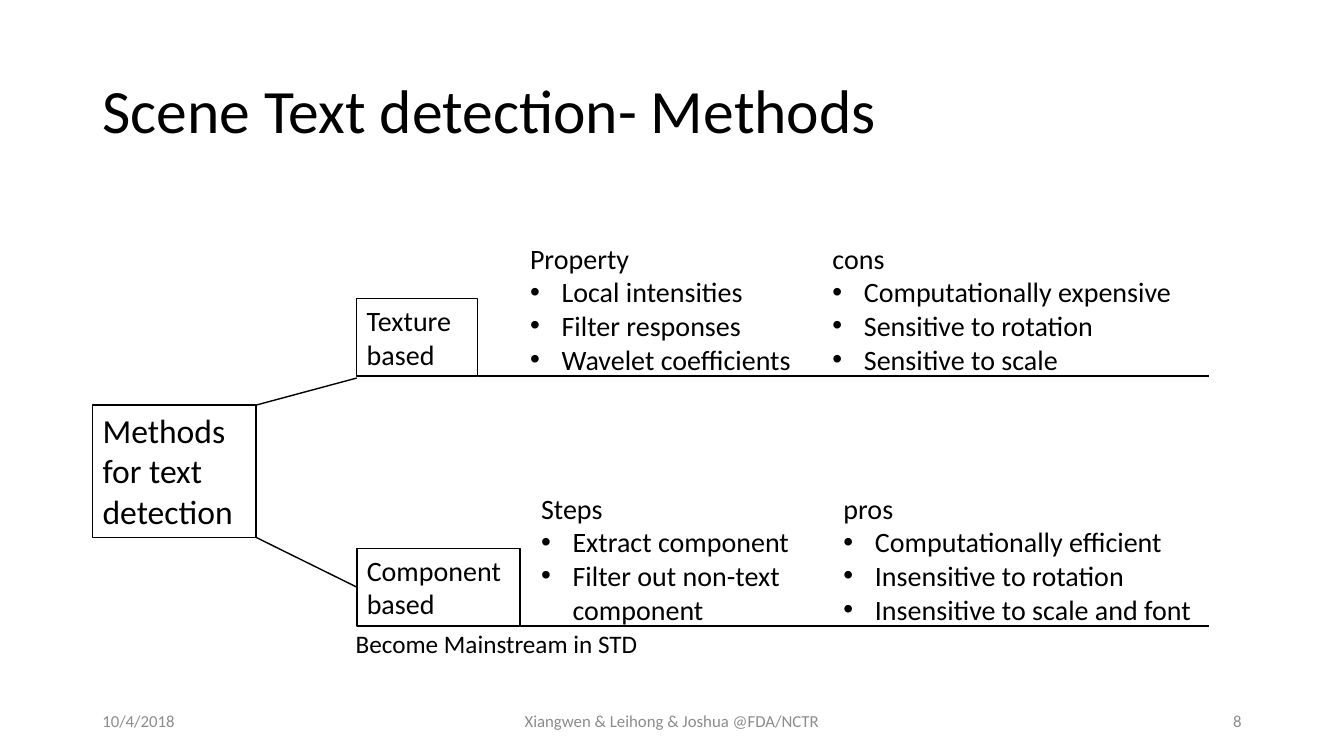
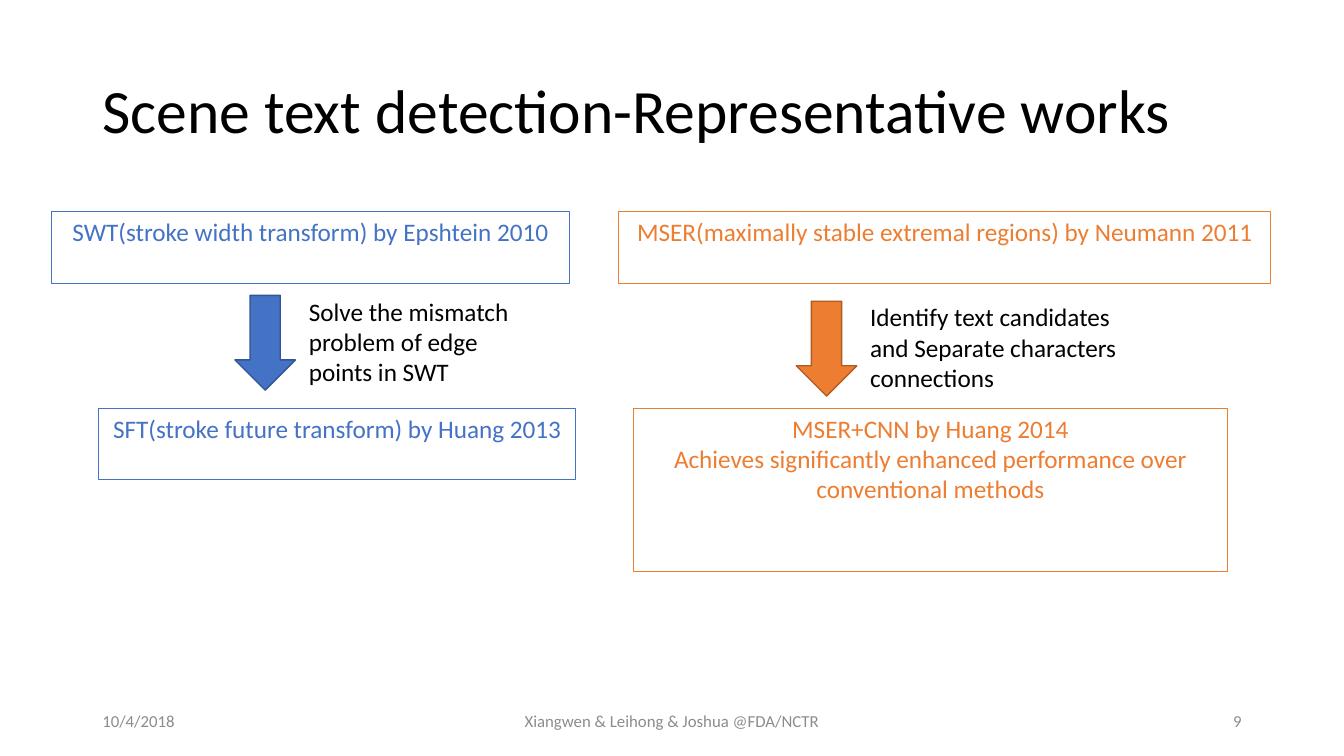
from dataclasses import dataclass

from lxml import etree
from pptx import Presentation
from pptx.dml.color import RGBColor
from pptx.enum.shapes import MSO_CONNECTOR, MSO_SHAPE
from pptx.enum.text import MSO_ANCHOR, MSO_AUTO_SIZE, PP_ALIGN
from pptx.oxml.ns import qn
from pptx.util import Pt

RECT, DOWN_ARROW = MSO_SHAPE.RECTANGLE, MSO_SHAPE.DOWN_ARROW
STRAIGHT = MSO_CONNECTOR.STRAIGHT
LEFT, CENTER, RIGHT = PP_ALIGN.LEFT, PP_ALIGN.CENTER, PP_ALIGN.RIGHT
TOP, MIDDLE = MSO_ANCHOR.TOP, MSO_ANCHOR.MIDDLE
LEFT_SIDE = 1
TITLE_ONLY = 5

FONT = "Calibri"
BLACK, WHITE, GREY = "000000", "FFFFFF", "8C8C8C"
BLUE, DARK_BLUE = "4472C4", "325491"
ORANGE, DARK_ORANGE = "ED7D31", "AF5C24"
BULLET_INDENT = 22.5

TITLE_BOX = (66, 28.8, 828, 104.4)
FOOTER_TOP, FOOTER_HEIGHT = 500.4, 28.8
DATE = "10/4/2018"
AUTHORS = "Xiangwen & Leihong & Joshua @FDA/NCTR"

Box = tuple[float, float, float, float]


@dataclass
class BulletList:
    x: float
    width: float
    heading: str
    items: list[str]


@dataclass
class Branch:
    """A boxed method standing on a base line, with lists to its right."""
    name: str
    box_width: float
    base: float
    lists: list[BulletList]


@dataclass
class Work:
    box: Box
    lines: list[str]


@dataclass
class Progress:
    """An earlier work, an arrow with a note, and the work that followed."""
    color: str
    outline: str
    before: Work
    arrow_x: float
    arrow_y: float
    note: str
    note_width: float
    after: Work


BRANCHES = [
    Branch("Texture based", 86.4, 268.6, [
        BulletList(371.5, 215.3, "Property",
                   ["Local intensities", "Filter responses", "Wavelet coefficients"]),
        BulletList(587.5, 268.6, "cons",
                   ["Computationally expensive", "Sensitive to rotation",
                    "Sensitive to scale"]),
    ]),
    Branch("Component based", 116.6, 447.1, [
        BulletList(379.4, 240.5, "Steps",
                   ["Extract component", "Filter out non-text component"]),
        BulletList(595.4, 268.6, "pros",
                   ["Computationally efficient", "Insensitive to rotation",
                    "Insensitive to scale and font"]),
    ]),
]

PROGRESSES = [
    Progress(
        BLUE, DARK_BLUE,
        Work((36.7, 151.2, 370.1, 51.1), ["SWT(stroke width transform) by Epshtein 2010"]),
        167.8, 211, "Solve the mismatch problem of edge points in SWT", 162,
        Work((70.6, 291.6, 340.6, 51.1), ["SFT(stroke future transform) by Huang 2013"])),
    Progress(
        ORANGE, DARK_ORANGE,
        Work((442.1, 151.2, 465.8, 51.1),
             ["MSER(maximally stable extremal regions) by Neumann 2011"]),
        568.8, 215.2, "Identify text candidates and Separate characters connections", 201.6,
        Work((452.2, 291.6, 424.8, 116.6),
             ["MSER+CNN by Huang 2014",
              "Achieves significantly enhanced performance over conventional methods"])),
]


def rgb(color: str) -> RGBColor:
    return RGBColor.from_string(color)


def write(sp, lines: list[str], size: float, color: str = BLACK,
          align=LEFT, anchor=TOP) -> None:
    tf = sp.text_frame
    frame_format = {"word_wrap": True, "auto_size": MSO_AUTO_SIZE.NONE,
                    "vertical_anchor": anchor}
    for name, value in frame_format.items():
        setattr(tf, name, value)
    for i, line in enumerate(lines):
        p = tf.paragraphs[0] if i == 0 else tf.add_paragraph()
        p.alignment = align
        r = p.add_run()
        r.text = line
        for name, value in {"name": FONT, "size": Pt(size)}.items():
            setattr(r.font, name, value)
        r.font.color.rgb = rgb(color)


def add_bullet(p) -> None:
    pPr = p._p.get_or_add_pPr()
    pPr.set("marL", str(Pt(BULLET_INDENT)))
    pPr.set("indent", str(-Pt(BULLET_INDENT)))
    etree.SubElement(pPr, qn("a:buFont")).set("typeface", "Arial")
    etree.SubElement(pPr, qn("a:buChar")).set("char", "•")


def add_text(s, box: Box, lines: list[str], size: float, **style):
    sp = s.shapes.add_textbox(*map(Pt, box))
    write(sp, lines, size, **style)
    return sp


def add_shape(s, kind, box: Box, line: str, width: float, fill: str | None = None):
    sp = s.shapes.add_shape(kind, *map(Pt, box))
    sp.shadow.inherit = False
    if fill:
        sp.fill.solid()
        sp.fill.fore_color.rgb = rgb(fill)
    else:
        sp.fill.background()
    sp.line.color.rgb = rgb(line)
    sp.line.width = Pt(width)
    return sp


def add_line(s, x1: float, y1: float, x2: float, y2: float):
    line = s.shapes.add_connector(STRAIGHT, Pt(x1), Pt(y1), Pt(x2), Pt(y2))
    line.line.color.rgb = rgb(BLACK)
    line.line.width = Pt(1)
    etree.SubElement(line._element.spPr, qn("a:effectLst"))
    return line


def add_slide(prs, title: str, number: int):
    """Add a slide with its title and the shared footer."""
    s = prs.slides.add_slide(prs.slide_layouts[TITLE_ONLY])
    sp = s.shapes.title
    sp.left, sp.top, sp.width, sp.height = map(Pt, TITLE_BOX)
    write(sp, [title], 44, anchor=MIDDLE)
    sp.text_frame.paragraphs[0].line_spacing = 0.9
    footers = [(66, 216, DATE, LEFT), (318, 324, AUTHORS, CENTER),
               (678, 216, str(number), RIGHT)]
    for x, width, text, align in footers:
        add_text(s, (x, FOOTER_TOP, width, FOOTER_HEIGHT), [text], 12,
                 color=GREY, align=align, anchor=MIDDLE)
    return s


def add_branch(s, branch: Branch):
    """Draw a branch and return its box."""
    x, height, line_end = 254.9, 55.4, 863.3
    sp = add_shape(s, RECT, (x, branch.base - height, branch.box_width, height),
                   BLACK, 1, WHITE)
    write(sp, [branch.name], 20)
    for block in branch.lists:
        text = add_text(s, (block.x, branch.base - 99.8, block.width, 104.4),
                        [block.heading, *block.items], 20)
        for p in text.text_frame.paragraphs[1:]:
            add_bullet(p)
    add_line(s, x + branch.box_width, branch.base, line_end, branch.base)
    return sp


def add_methods(prs) -> None:
    s = add_slide(prs, "Scene Text detection- Methods", 8)
    x, y, width, height = root = (66.2, 289.4, 116.6, 94.4)
    write(add_shape(s, RECT, root, BLACK, 1, WHITE), ["Methods for text detection"], 24)
    texture, component = [add_branch(s, branch) for branch in BRANCHES]
    right, bottom = x + width, y + height
    add_line(s, right, y, texture.left.pt, 270)
    link = add_line(s, right, bottom, component.left.pt, 419.4)
    link.end_connect(component, LEFT_SIDE)
    add_text(s, (247, 445, 232.6, 28.8), ["Become Mainstream in STD"], 18)


def add_progress(s, progress: Progress) -> None:
    for work in (progress.before, progress.after):
        sp = add_shape(s, RECT, work.box, progress.color, 0.75)
        write(sp, work.lines, 18, color=progress.color, align=CENTER)
    x, y = progress.arrow_x, progress.arrow_y
    add_shape(s, DOWN_ARROW, (x, y, 43.2, 67.7), progress.outline, 1, progress.color)
    add_text(s, (x + 45.7, y - 3.2, progress.note_width, 72.7), [progress.note], 18)


def add_works(prs) -> None:
    s = add_slide(prs, "Scene text detection-Representative works", 9)
    for progress in PROGRESSES:
        add_progress(s, progress)


def main() -> None:
    prs = Presentation()
    prs.slide_width, prs.slide_height = Pt(960), Pt(540)
    add_methods(prs)
    add_works(prs)
    prs.save("out.pptx")


if __name__ == "__main__":
    main()
